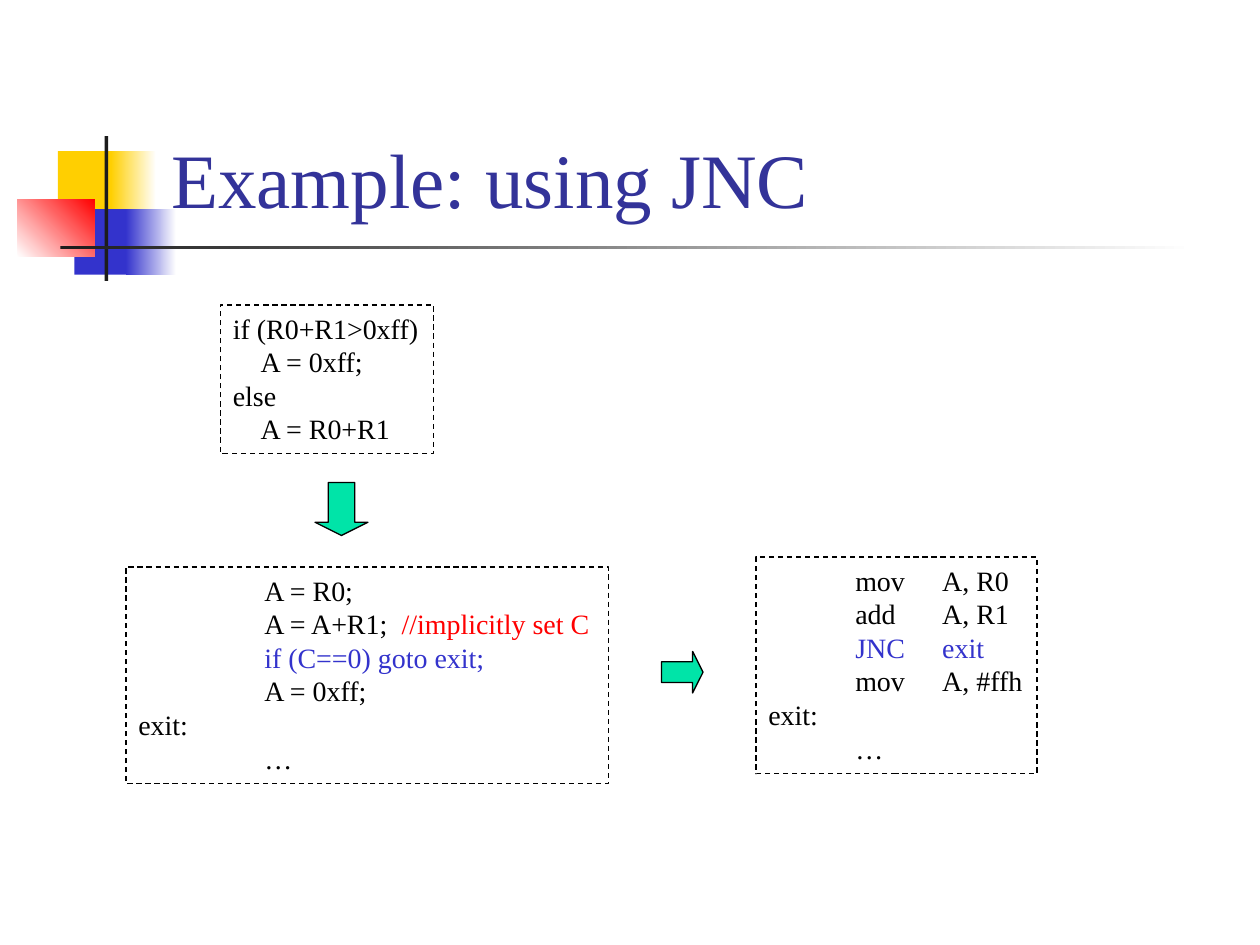
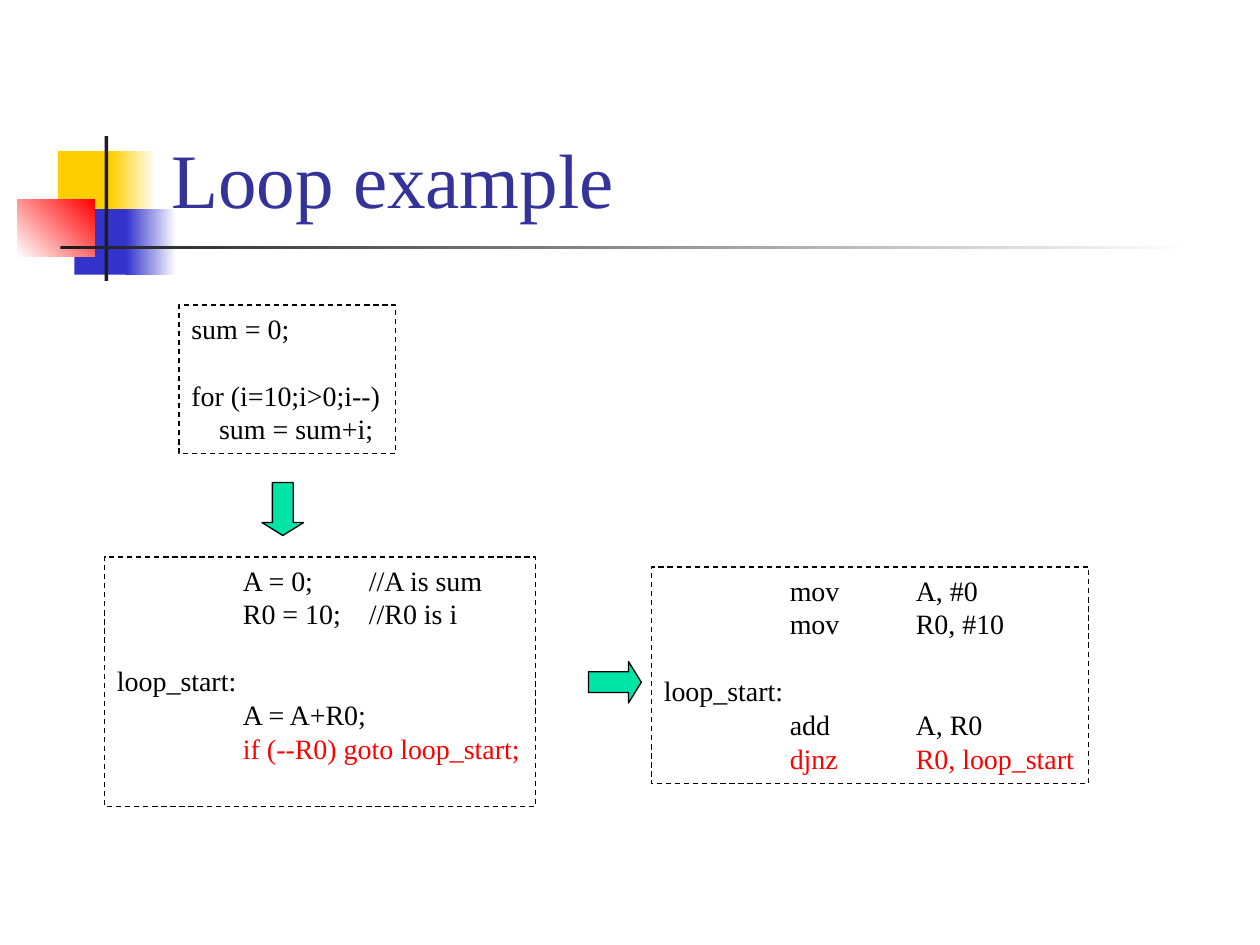
from dataclasses import dataclass

from lxml import etree
from pptx import Presentation
from pptx.dml.color import RGBColor
from pptx.enum import dml, shapes, text
from pptx.oxml import ns
from pptx.util import Pt

PX = 9144  # EMU per px, 100 px to the inch
FONT = "Times New Roman"
LINE_HEIGHT = Pt(19.2)
INDENT = 22

BLACK = RGBColor(0x00, 0x00, 0x00)
WHITE = RGBColor(0xFF, 0xFF, 0xFF)
INK = RGBColor(0x1C, 0x1C, 0x1C)
NAVY = RGBColor(0x33, 0x33, 0x99)
BLUE = RGBColor(0x33, 0x33, 0xCC)
RED = RGBColor(0xFF, 0x00, 0x00)
YELLOW = RGBColor(0xFF, 0xCF, 0x01)
GREEN = RGBColor(0x00, 0xE4, 0xA8)

RECT = shapes.MSO_SHAPE.RECTANGLE
DOWN = shapes.MSO_SHAPE.DOWN_ARROW
RIGHT = shapes.MSO_SHAPE.RIGHT_ARROW

TITLE_BOX = (126, 23, 852, 160)
# Box, colours (two make a gradient), gradient angle
DECORATION = [
    ((46, 120, 48, 52), (YELLOW,), 0),
    ((88, 120, 36, 52), (YELLOW, WHITE), 0),
    ((59, 166, 46, 52), (BLUE,), 0),
    ((100, 166, 40, 52), (BLUE, WHITE), 0),
    ((14, 158, 61, 46), (WHITE, RED), 45),
    ((83, 108, 3, 115), (INK,), 0),
    ((48, 195, 900, 3), (INK, WHITE), 0),
]


@dataclass
class Line:
    """One line of code: runs of (text, colour), indent steps, blank lines above."""
    runs: list
    indent: int = 0
    blank: int = 0


def code(words, color=BLACK, **place):
    return Line([(words, color)], **place)


def emu(box):
    return [v * PX for v in box]


def style(obj, **values):
    for name, value in values.items():
        setattr(obj, name, value)


def add_shape(s, kind, box):
    sp = s.shapes.add_shape(kind, *emu(box))
    sp.shadow.inherit = False
    return sp


def paint(sp, colors, angle=0):
    if len(colors) == 1:
        sp.fill.solid()
        sp.fill.fore_color.rgb = colors[0]
        return
    sp.fill.gradient()
    sp.fill.gradient_angle = angle
    for position, (stop, color) in enumerate(zip(sp.fill.gradient_stops, colors)):
        stop.position = position
        stop.color.rgb = color


def outline(sp):
    sp.line.color.rgb = BLACK
    sp.line.width = Pt(0.75)


def add_title(s, words):
    title = s.shapes.title
    style(title, **dict(zip(("left", "top", "width", "height"), emu(TITLE_BOX))))
    tf = title.text_frame
    style(tf, text=words, word_wrap=True, auto_size=text.MSO_AUTO_SIZE.NONE,
          vertical_anchor=text.MSO_ANCHOR.BOTTOM)
    p = tf.paragraphs[0]
    p.alignment = text.PP_ALIGN.LEFT
    style(p.runs[0].font, name=FONT, size=Pt(44))
    p.runs[0].font.color.rgb = NAVY


def add_decoration(s):
    for box, colors, angle in DECORATION:
        sp = add_shape(s, RECT, box)
        paint(sp, colors, angle)
        sp.line.fill.background()
        s.shapes.title._element.addprevious(sp._element)  # behind the title


def add_code_box(s, box, lines, tabs=()):
    sp = add_shape(s, RECT, box)
    sp.fill.background()
    outline(sp)
    sp.line.dash_style = dml.MSO_LINE.DASH
    tf = sp.text_frame
    style(tf, word_wrap=True, margin_right=0, vertical_anchor=text.MSO_ANCHOR.TOP)
    for i, line in enumerate(lines):
        p = tf.add_paragraph() if i else tf.paragraphs[0]
        style(p, alignment=text.PP_ALIGN.LEFT, line_spacing=LINE_HEIGHT,
              space_before=line.blank * LINE_HEIGHT)
        # Indent and tab stops
        pPr = p._p.get_or_add_pPr()
        pPr.set("marL", str(line.indent * INDENT * PX))
        if tabs:
            stops = etree.SubElement(pPr, ns.qn("a:tabLst"))
            for tab in tabs:
                etree.SubElement(stops, ns.qn("a:tab"), pos=str(tab * PX), algn="l")
        for words, color in line.runs:
            r = p.add_run()
            r.text = words
            style(r.font, name=FONT, size=Pt(16))
            r.font.color.rgb = color


def add_arrow(s, kind, box, head):
    sp = add_shape(s, kind, box)
    sp.adjustments[1] = head
    paint(sp, (GREEN,))
    outline(sp)


def add_code_slide(prs, title, boxes, arrows):
    s = prs.slides.add_slide(prs.slide_layouts[5])
    add_title(s, title)
    add_decoration(s)
    for box, lines, tabs in boxes:
        add_code_box(s, box, lines, tabs)
    for kind, box, head in arrows:
        add_arrow(s, kind, box, head)


def add_jnc_slide(prs):
    source = [code("if (R0+R1>0xff)"), code("A = 0xff;", indent=1),
              code("else"), code("A = R0+R1", indent=1)]
    steps = [code("\tA = R0;"),
             Line([("\tA = A+R1;\t", BLACK), ("//implicitly set C", RED)]),
             code("\tif (C==0) goto exit;", BLUE),
             code("\tA = 0xff;"), code("exit:"), code("\t…")]
    assembly = [code("\tmov\tA, R0"), code("\tadd\tA, R1"),
                code("\tJNC\texit", BLUE), code("\tmov\tA, #ffh"),
                code("exit:"), code("\t…")]
    add_code_slide(
        prs, "Example: using JNC",
        [((175, 242, 169, 118), source, ()),
         ((100, 450, 383, 172), steps, (100, 209)),
         ((600, 442, 223, 172), assembly, (69, 138))],
        [(DOWN, (250, 383, 42, 42), 0.25),
         (RIGHT, (525, 517, 33, 33), 0.25)])


def add_loop_slide(prs):
    source = [code("sum = 0;"), code("for (i=10;i>0;i--)", blank=1),
              code("sum = sum+i;", indent=1)]
    steps = [code("\tA = 0;\t//A is sum"), code("\tR0 = 10;\t//R0 is i"),
             code("loop_start:", blank=1), code("\tA = A+R0;"),
             code("\tif (--R0) goto loop_start;", RED)]
    assembly = [code("\tmov\tA, #0"), code("\tmov\tR0, #10"),
                code("loop_start:", blank=1), code("\tadd\tA, R0"),
                code("\tdjnz\tR0, loop_start", RED)]
    add_code_slide(
        prs, "Loop example",
        [((142, 242, 172, 118), source, ()),
         ((83, 442, 342, 198), steps, (100, 200)),
         ((517, 450, 347, 172), assembly, (100, 200))],
        [(DOWN, (208, 383, 33, 42), 0.31),
         (RIGHT, (467, 525, 42, 33), 0.31)])


def main():
    prs = Presentation()
    style(prs, slide_width=1000 * PX, slide_height=750 * PX)
    add_jnc_slide(prs)
    add_loop_slide(prs)
    prs.save("out.pptx")


if __name__ == "__main__":
    main()
